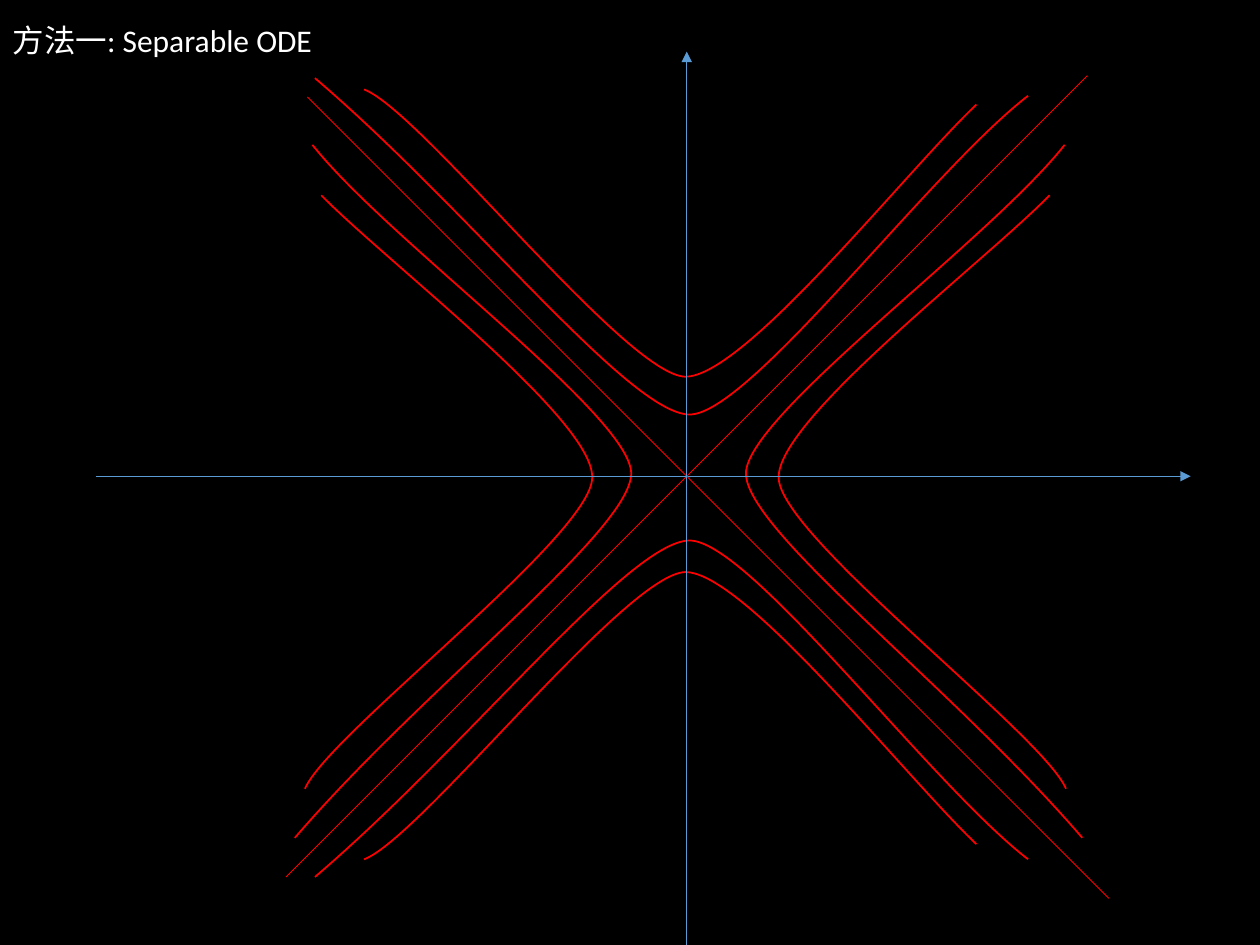
from lxml.etree import SubElement
from pptx import Presentation
from pptx.dml.color import RGBColor
from pptx.enum.shapes import MSO_CONNECTOR
from pptx.enum.text import MSO_ANCHOR, MSO_AUTO_SIZE, PP_ALIGN
from pptx.oxml.ns import qn
from pptx.util import Inches, Pt

BLACK = RGBColor(0x00, 0x00, 0x00)
WHITE = RGBColor(0xFF, 0xFF, 0xFF)
RED = RGBColor(0xFF, 0x00, 0x00)
BLUE = RGBColor(0x5B, 0x9B, 0xD5)

# The grid has 1000 columns and 750 rows on a 10 by 7.5 inch page
CELL = Inches(0.01)
COLUMNS, ROWS = 1000, 750


def apply(target, values):
    for name, value in values.items():
        setattr(target, name, value)


class PhasePlane:
    """Draws on one page, with all lengths in grid cells."""

    title_font = {"name": "Calibri", "size": Pt(18)}

    def __init__(self, deck):
        self.page = deck.slides.add_slide(deck.slide_layouts[5])
        fill = self.page.background.fill
        fill.solid()
        fill.fore_color.rgb = BLACK

    def title(self, text, left, top, width, height):
        box = self.page.shapes.title
        apply(box, {"left": left * CELL, "top": top * CELL,
                    "width": width * CELL, "height": height * CELL})
        frame = box.text_frame
        apply(frame, {"word_wrap": True, "vertical_anchor": MSO_ANCHOR.TOP,
                      "auto_size": MSO_AUTO_SIZE.SHAPE_TO_FIT_TEXT})
        para = frame.paragraphs[0]
        para.alignment = PP_ALIGN.LEFT
        span = para.add_run()
        span.text = text
        apply(span.font, self.title_font)
        span.font.color.rgb = WHITE

    def line(self, start, end, color, arrow=False):
        ends = [value * CELL for value in (*start, *end)]
        connector = self.page.shapes.add_connector(MSO_CONNECTOR.STRAIGHT, *ends)
        connector.line.color.rgb = color
        connector.line.width = Pt(0.5)
        properties = connector.element.spPr
        if arrow:
            SubElement(properties.get_or_add_ln(), qn("a:tailEnd"), type="triangle")
        SubElement(properties, qn("a:effectLst"))

    def curve(self, points, shapes):
        """Draw Bezier segments: a start point, then three points for each."""
        builder = shapes.build_freeform(*points[0], scale=CELL)
        builder.add_line_segments(points[1:], close=False)
        shape = builder.convert_to_shape()
        shape.shadow.inherit = False
        shape.fill.background()
        shape.line.color.rgb = RED
        shape.line.width = Pt(1)
        # Merge every three straight steps into one cubic segment
        steps = list(shape.element.iter(qn("a:lnTo")))
        for first in range(0, len(steps), 3):
            cubic = SubElement(steps[first].getparent(), qn("a:cubicBezTo"))
            for step in steps[first:first + 3]:
                cubic.append(step[0])
                step.getparent().remove(step)

    def branches(self, points, mirror_x=None, mirror_y=None):
        """Draw a branch and its mirror image; top and bottom are grouped."""
        shapes = self.page.shapes
        if mirror_y:
            shapes = shapes.add_group_shape().shapes
        mirrored = [(mirror_x - x if mirror_x else x,
                     mirror_y - y if mirror_y else y) for x, y in points]
        for branch in (points, mirrored):
            self.curve(branch, shapes)


# Each hyperbola: points of one branch, and the sum of mirrored coordinates
HYPERBOLAS = [
    ([(250, 62), (372, 166), (499, 328), (547, 329),
      (594, 330), (738, 136), (816, 76)], {"mirror_y": 758}),
    ([(289, 71), (334, 88), (497, 298), (544, 299),
      (591, 299), (719, 136), (775, 83)], {"mirror_y": 753}),
    ([(234, 665), (337, 545), (500, 422), (501, 376),
      (501, 330), (308, 191), (248, 115)], {"mirror_x": 1093}),
    ([(242, 626), (260, 583), (470, 425), (470, 379),
      (471, 333), (308, 209), (255, 155)], {"mirror_x": 1088}),
]


def main():
    deck = Presentation()
    apply(deck, {"slide_width": COLUMNS * CELL, "slide_height": ROWS * CELL})
    plane = PhasePlane(deck)
    plane.title("方法一: Separable ODE", 0, 12, 261, 40)

    # Rising asymptote and the solution curves
    plane.line((863, 60), (227, 696), RED)
    for points, mirror in HYPERBOLAS:
        plane.branches(points, **mirror)

    # Axes and the falling asymptote
    plane.line((76, 378), (945, 378), BLUE, arrow=True)
    plane.line((880, 713), (244, 77), RED)
    plane.line((545, 910), (545, 41), BLUE, arrow=True)

    deck.save("out.pptx")


if __name__ == "__main__":
    main()
